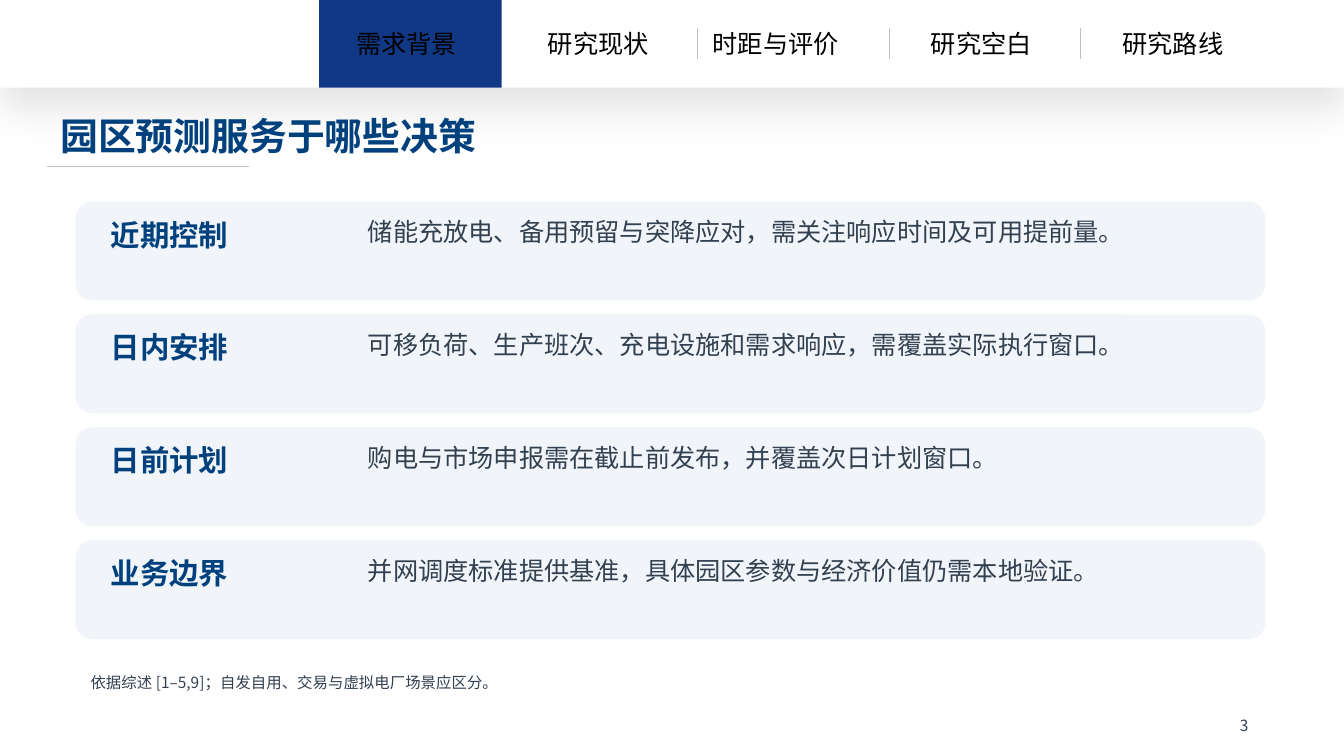
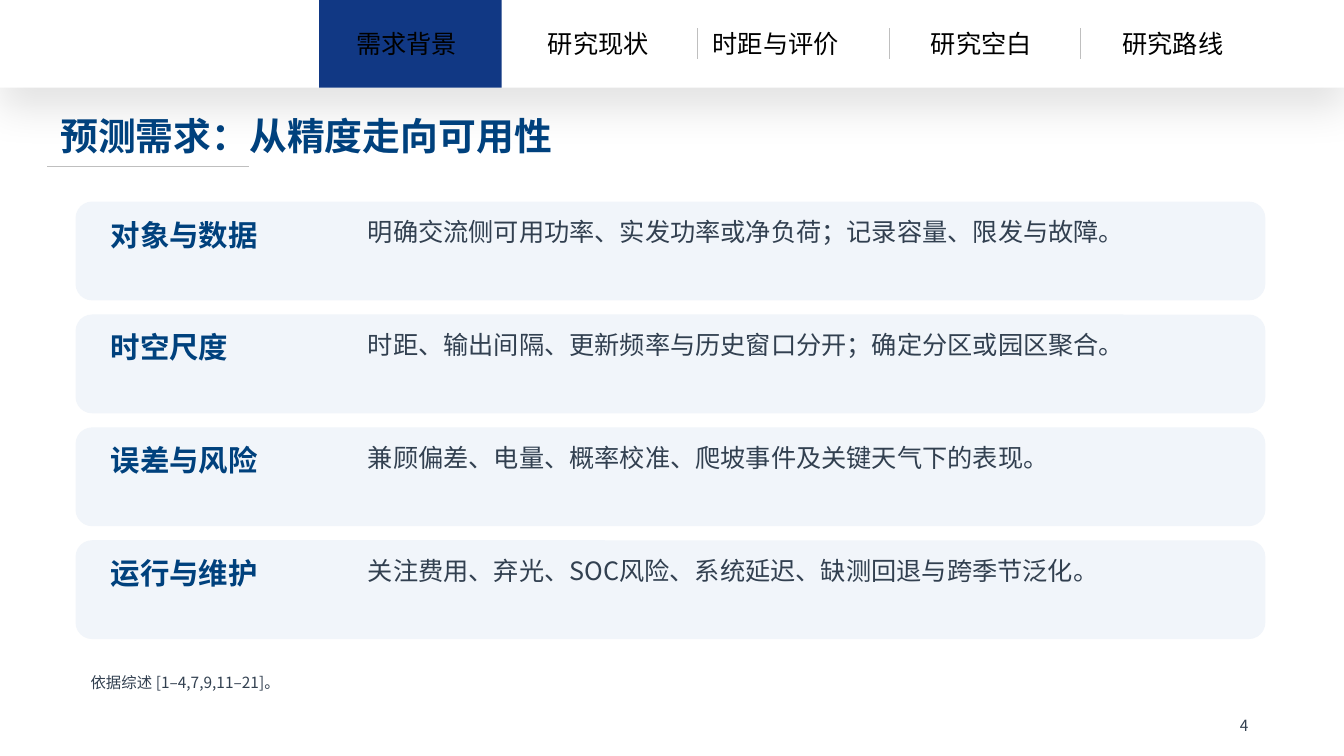
from dataclasses import dataclass

from lxml import etree
from pptx import Presentation
from pptx.dml.color import RGBColor
from pptx.enum.shapes import MSO_CONNECTOR, MSO_SHAPE
from pptx.enum.text import MSO_AUTO_SIZE
from pptx.oxml.ns import qn
from pptx.shapes.autoshape import Shape
from pptx.slide import Slide
from pptx.util import Inches, Pt

RECT = MSO_SHAPE.RECTANGLE
ROUNDED = MSO_SHAPE.ROUNDED_RECTANGLE
STRAIGHT = MSO_CONNECTOR.STRAIGHT
FIT_SHAPE = MSO_AUTO_SIZE.SHAPE_TO_FIT_TEXT


@dataclass(frozen=True)
class TextStyle:
    size: float
    color: str
    font: str = "Noto Sans CJK SC"
    bold: bool = False
    space_after: float = 10


@dataclass(frozen=True)
class Theme:
    white: str = "FFFFFF"
    active_tab: str = "113884"
    rule: str = "BFBFBF"
    card: str = "F1F5FA"
    shadow: str = "000000"
    rule_width: float = 0.5
    tab: TextStyle = TextStyle(18, "000000", font="Arial", space_after=0)
    title: TextStyle = TextStyle(27, "00417D", bold=True)
    label: TextStyle = TextStyle(21, "00417D", bold=True)
    body: TextStyle = TextStyle(18, "324050")
    small: TextStyle = TextStyle(11, "324050")


@dataclass(frozen=True)
class Box:
    left: float
    top: float
    width: float
    height: float

    def lengths(self) -> list[int]:
        return [Inches(v) for v in (self.left, self.top, self.width, self.height)]


@dataclass(frozen=True)
class Tab:
    text: str
    width: float = 1.27


@dataclass(frozen=True)
class Row:
    label: str
    detail: str


@dataclass(frozen=True)
class Page:
    number: int
    title: str
    rows: tuple[Row, ...]
    basis: str


THEME = Theme()
SLIDE_WIDTH, SLIDE_HEIGHT = 13.33, 7.5

# Navigation band
BAND_HEIGHT = 0.87
TAB_CENTER, TAB_PITCH = 4.07, 1.9
ACTIVE_WIDTH = 1.81
DIVIDER_LEFT, DIVIDER_COUNT = 6.92, 3
TABS = (Tab("需求背景"), Tab("研究现状"), Tab("时距与评价", 1.8),
        Tab("研究空白"), Tab("研究路线"))

# Card rows
ROW_TOP, ROW_PITCH, ROW_HEIGHT = 2, 1.12, 0.98

PAGES = (
    Page(3, "园区预测服务于哪些决策", (
        Row("近期控制", "储能充放电、备用预留与突降应对，需关注响应时间及可用提前量。"),
        Row("日内安排", "可移负荷、生产班次、充电设施和需求响应，需覆盖实际执行窗口。"),
        Row("日前计划", "购电与市场申报需在截止前发布，并覆盖次日计划窗口。"),
        Row("业务边界", "并网调度标准提供基准，具体园区参数与经济价值仍需本地验证。"),
    ), "依据综述 [1–5,9]；自发自用、交易与虚拟电厂场景应区分。"),
    Page(4, "预测需求：从精度走向可用性", (
        Row("对象与数据", "明确交流侧可用功率、实发功率或净负荷；记录容量、限发与故障。"),
        Row("时空尺度", "时距、输出间隔、更新频率与历史窗口分开；确定分区或园区聚合。"),
        Row("误差与风险", "兼顾偏差、电量、概率校准、爬坡事件及关键天气下的表现。"),
        Row("运行与维护", "关注费用、弃光、SOC风险、系统延迟、缺测回退与跨季节泛化。"),
    ), "依据综述 [1–4,7,9,11–21]。"),
)


def add_panel(slide: Slide, box: Box, color: str, kind: int = RECT) -> Shape:
    panel = slide.shapes.add_shape(kind, *box.lengths())
    panel.shadow.inherit = False
    panel.fill.solid()
    panel.fill.fore_color.rgb = RGBColor.from_string(color)
    panel.line.fill.background()
    return panel


def add_drop_shadow(panel: Shape) -> None:
    effects = panel.element.spPr.find(qn("a:effectLst"))
    shadow = etree.SubElement(
        effects, qn("a:outerShdw"), blurRad=str(Pt(28)), dist=str(Pt(15)),
        dir="5400000", algn="t", rotWithShape="0")
    color = etree.SubElement(shadow, qn("a:srgbClr"), val=THEME.shadow)
    etree.SubElement(color, qn("a:alpha"), val="11000")


def add_rule(slide: Slide, x1: float, y1: float, x2: float, y2: float) -> None:
    rule = slide.shapes.add_connector(
        STRAIGHT, Inches(x1), Inches(y1), Inches(x2), Inches(y2))
    rule.line.color.rgb = RGBColor.from_string(THEME.rule)
    rule.line.width = Pt(THEME.rule_width)
    etree.SubElement(rule.element.spPr, qn("a:effectLst"))


def add_text(slide: Slide, box: Box, text: str, style: TextStyle,
             wrap: bool = True) -> None:
    frame = slide.shapes.add_textbox(*box.lengths()).text_frame
    frame.word_wrap = wrap
    frame.auto_size = FIT_SHAPE
    frame.text = text
    paragraph = frame.paragraphs[0]
    paragraph.space_after = Pt(style.space_after)
    run = paragraph.runs[0]
    run.font.size = Pt(style.size)
    run.font.bold = style.bold
    run.font.color.rgb = RGBColor.from_string(style.color)
    run.font.name = style.font
    # East Asian characters take the same typeface
    etree.SubElement(run.font._element, qn("a:ea"), typeface=style.font)


def add_navigation(slide: Slide) -> None:
    band = add_panel(slide, Box(0, 0, SLIDE_WIDTH, BAND_HEIGHT), THEME.white)
    add_drop_shadow(band)
    add_rule(slide, 0.47, 1.65, 2.47, 1.65)
    add_panel(slide, Box(TAB_CENTER - ACTIVE_WIDTH / 2, 0, ACTIVE_WIDTH,
                         BAND_HEIGHT), THEME.active_tab)
    for i in range(DIVIDER_COUNT):
        x = DIVIDER_LEFT + i * TAB_PITCH
        add_rule(slide, x, 0.28, x, 0.59)
    for i, tab in enumerate(TABS):
        left = TAB_CENTER + i * TAB_PITCH - tab.width / 2
        add_text(slide, Box(left, 0.23, tab.width, 0.4), tab.text, THEME.tab,
                 wrap=False)


def add_row(slide: Slide, row: Row, top: float) -> None:
    add_panel(slide, Box(0.75, top, 11.8, ROW_HEIGHT), THEME.card, ROUNDED)
    add_text(slide, Box(1, top + 0.1, 2.4, 0.75), row.label, THEME.label)
    add_text(slide, Box(3.55, top + 0.1, 8.65, 0.8), row.detail, THEME.body)


def add_page(slide: Slide, page: Page) -> None:
    slide.background.fill.solid()
    slide.background.fill.fore_color.rgb = RGBColor.from_string(THEME.white)
    add_navigation(slide)
    # Content area and title
    add_panel(slide, Box(0.3, 1.85, 12.7, 5.18), THEME.white)
    add_text(slide, Box(0.5, 1.07, 12.3, 0.58), page.title, THEME.title)
    for i, row in enumerate(page.rows):
        add_row(slide, row, ROW_TOP + i * ROW_PITCH)
    # Basis and page number
    add_text(slide, Box(0.8, 6.63, 11.7, 0.38), page.basis, THEME.small)
    add_text(slide, Box(12.2, 7.06, 0.5, 0.25), str(page.number), THEME.small)


def main() -> None:
    deck = Presentation()
    deck.slide_width = Inches(SLIDE_WIDTH)
    deck.slide_height = Inches(SLIDE_HEIGHT)
    blank = deck.slide_layouts[6]
    for page in PAGES:
        add_page(deck.slides.add_slide(blank), page)
    deck.save("out.pptx")


if __name__ == "__main__":
    main()
